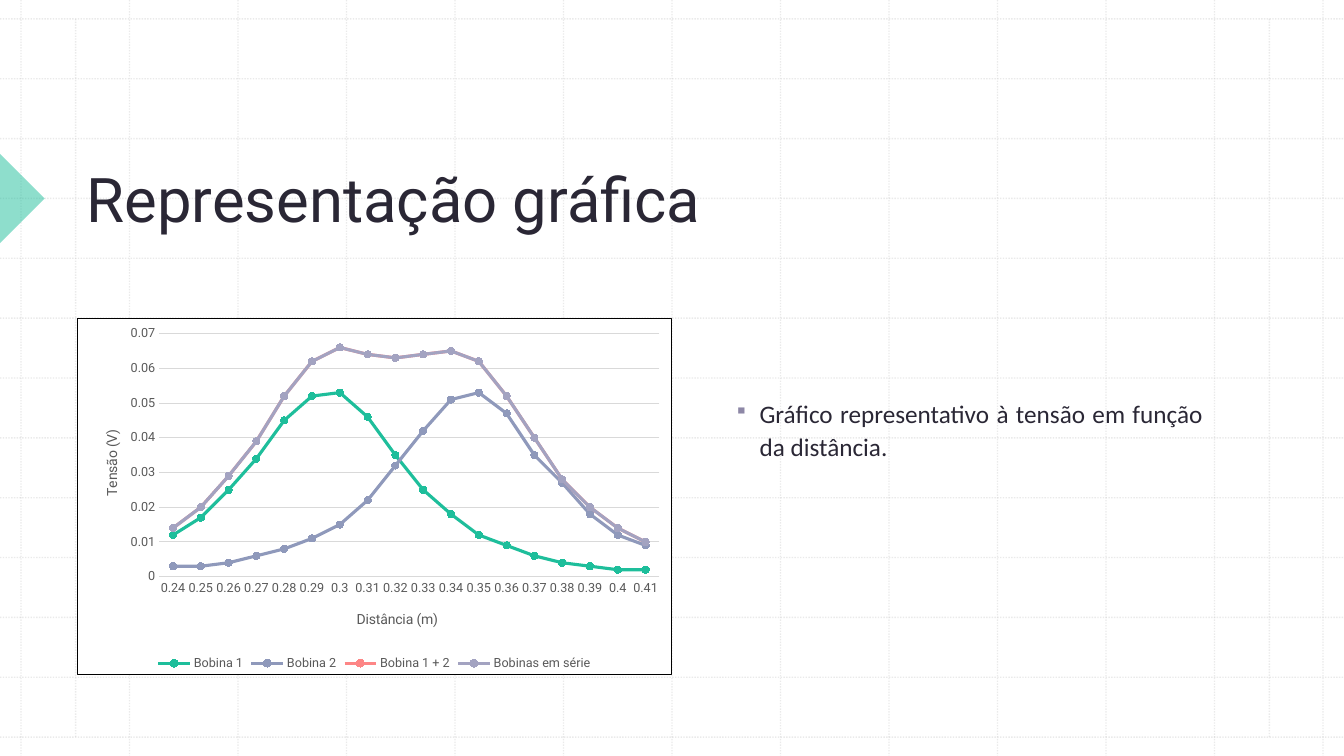
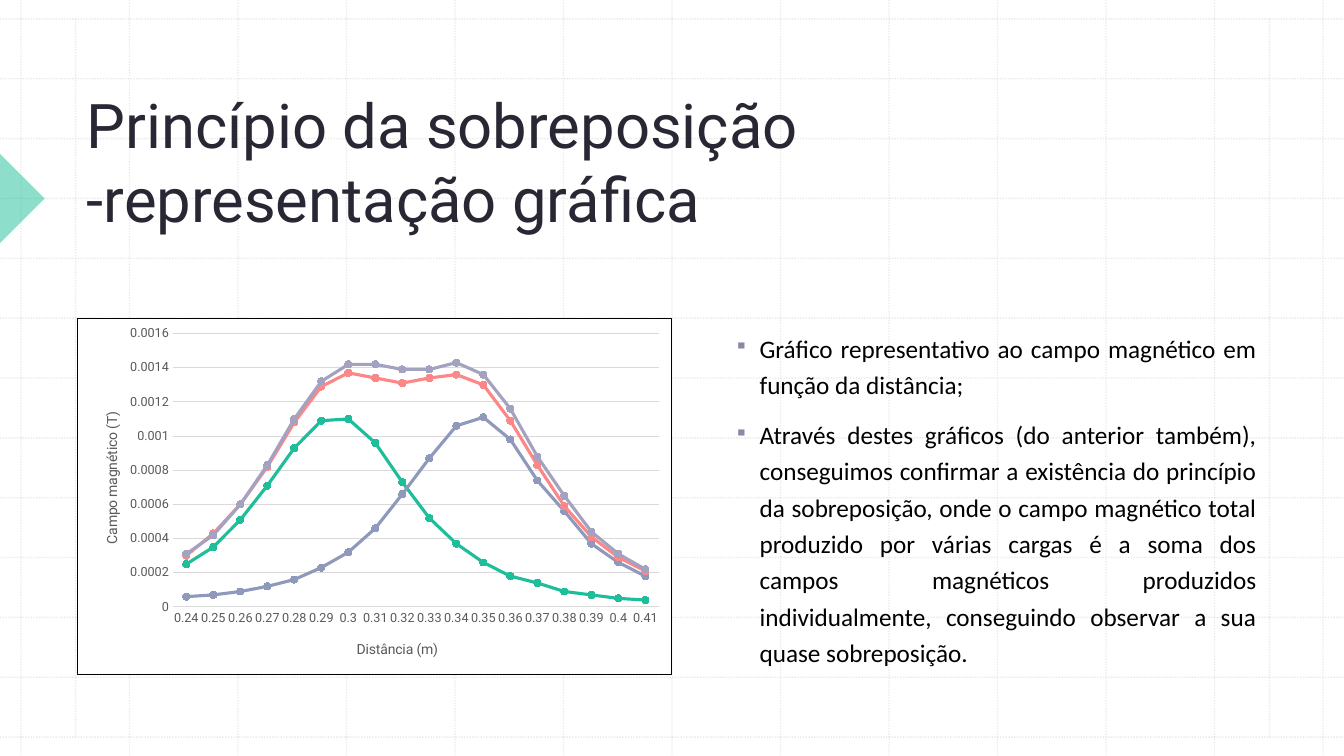
from lxml import etree
from pptx import Presentation
from pptx.chart.data import CategoryChartData
from pptx.dml.color import RGBColor
from pptx.enum.chart import XL_CHART_TYPE, XL_LEGEND_POSITION, XL_MARKER_STYLE, XL_TICK_MARK
from pptx.enum.dml import MSO_LINE
from pptx.enum.shapes import MSO_CONNECTOR, MSO_SHAPE
from pptx.enum.text import MSO_ANCHOR, MSO_AUTO_SIZE, PP_ALIGN
from pptx.oxml import parse_xml
from pptx.oxml.ns import nsdecls, qn
from pptx.util import Pt

PX = 9525
W, H = 1280, 720
COLORS = {"ink": "2A2735", "black": "000000", "white": "FFFFFF", "grid": "BCBCBC",
          "accent": "1EBE9B", "bullet": "8D87A6", "label": "595959", "rule": "D9D9D9"}
TITLE_BOX = (73, 76, 1084, 152)
CHART_BOX = (73, 303, 567, 340)
SERIES = {"Bobina 1": "1EBE9B", "Bobina 2": "8F99BB",
          "Bobina 1 + 2": "FD8686", "Bobinas em série": "A3A3C1"}
DISTANCES = [f"{cm / 100:g}" for cm in range(24, 42)]
VOLTAGE_SUM = [0.014, 0.02, 0.029, 0.039, 0.052, 0.062, 0.066, 0.064, 0.063,
               0.064, 0.065, 0.062, 0.052, 0.04, 0.028, 0.02, 0.014, 0.01]
VOLTAGE = [
    [0.012, 0.017, 0.025, 0.034, 0.045, 0.052, 0.053, 0.046, 0.035,
     0.025, 0.018, 0.012, 0.009, 0.006, 0.004, 0.003, 0.002, 0.002],
    [0.003, 0.003, 0.004, 0.006, 0.008, 0.011, 0.015, 0.022, 0.032,
     0.042, 0.051, 0.053, 0.047, 0.035, 0.027, 0.018, 0.012, 0.009],
    VOLTAGE_SUM, VOLTAGE_SUM]
FIELD = [
    [0.00025, 0.00035, 0.00051, 0.00071, 0.00093, 0.00109, 0.0011, 0.00096, 0.00073,
     0.00052, 0.00037, 0.00026, 0.00018, 0.00014, 0.00009, 0.00007, 0.00005, 0.00004],
    [0.00006, 0.00007, 0.00009, 0.00012, 0.00016, 0.00023, 0.00032, 0.00046, 0.00066,
     0.00087, 0.00106, 0.00111, 0.00098, 0.00074, 0.00056, 0.00037, 0.00026, 0.00018],
    [0.0003, 0.00043, 0.0006, 0.00082, 0.00108, 0.00129, 0.00137, 0.00134, 0.00131,
     0.00134, 0.00136, 0.0013, 0.00109, 0.00083, 0.00059, 0.00041, 0.00029, 0.00021],
    [0.00031, 0.00042, 0.0006, 0.00083, 0.0011, 0.00132, 0.00142, 0.00142, 0.00139,
     0.00139, 0.00143, 0.00136, 0.00116, 0.00088, 0.00065, 0.00044, 0.00031, 0.00022]]
SLIDES = [
    {"title": "Representação gráfica",
     "body": ["Gráfico representativo à tensão em função da distância."],
     "body_box": (690, 303, 465, 210), "color": "ink", "spacing": 1.1,
     "chart": {"values": VOLTAGE, "y_title": "Tensão (V)", "top": 0.07, "unit": 0.01,
               "legend": True, "plot": (82, 15, 501, 244),
               "x_pos": (277, 290), "y_pos": (23, 109)}},
    {"title": "Princípio da sobreposição -representação gráfica",
     "body": ["Gráfico representativo ao campo magnético em função da distância;",
              "Através destes gráficos (do anterior também), conseguimos confirmar a "
              "existência do princípio da sobreposição, onde o campo magnético total "
              "produzido por várias cargas é a soma dos campos magnéticos produzidos "
              "individualmente, conseguindo observar a sua quase sobreposição."],
     "body_box": (690, 303, 516, 341), "color": "black", "spacing": 1.2,
     "chart": {"values": FIELD, "y_title": "Campo magnético (T)", "top": 0.0016,
               "unit": 0.0002, "legend": False, "plot": (96, 15, 487, 274),
               "x_pos": (277, 320), "y_pos": (23, 91)}},
]
CHART_PX = (595, 357)


def rgb(name):
    """Return the colour for a palette name or a hex string."""
    return RGBColor.from_string(COLORS.get(name, name))


def emu(*px):
    """Convert px lengths to EMU."""
    return [round(v * PX) for v in px]


def set_font(font, size, name="Roboto", color="label"):
    """Format a font."""
    font.size, font.name, font.bold = Pt(size), name, False
    font.color.rgb = rgb(color)


def add_text(p, text, align=None, **fmt):
    """Add a formatted run to a paragraph."""
    p.alignment = align
    r = p.add_run()
    r.text = text
    set_font(r.font, **fmt)


def set_alpha(sp, percent):
    """Make the colours of a shape partly transparent."""
    for clr in sp.element.xpath("./p:spPr//a:srgbClr"):
        etree.SubElement(clr, qn("a:alpha")).set("val", str(percent * 1000))


def add_grid_line(shapes, *ends):
    """Draw one dotted line of the background grid."""
    cx = shapes.add_connector(MSO_CONNECTOR.STRAIGHT, *emu(*ends))
    cx.line.color.rgb = rgb("grid")
    cx.line.width = Pt(1)
    cx.line.dash_style = MSO_LINE.ROUND_DOT
    set_alpha(cx, 30)
    etree.SubElement(cx.element.spPr, qn("a:effectLst"))


def add_background(s):
    """Draw the grid and arrow and move them to the slide's layout."""
    grp = s.shapes.add_group_shape()
    for i in range(13):
        x, y = 20 + i * 310 / 3, 18 + i * 57
        add_grid_line(grp.shapes, x, 0, x, H)
        add_grid_line(grp.shapes, 0, y, W, y)
    for x in (72, 1209):
        add_grid_line(grp.shapes, x, 18, x, 702)
    sp = grp.shapes.add_shape(MSO_SHAPE.RIGHT_TRIANGLE, *emu(-30, 159, 60, 60))
    sp.rotation = 225
    sp.shadow.inherit = False
    sp.fill.solid()
    sp.fill.fore_color.rgb = rgb("accent")
    sp.line.fill.background()
    set_alpha(sp, 50)
    tree = s.slide_layout.shapes.element
    tree.insert(2, grp.element)
    for i, el in enumerate(tree.xpath(".//p:cNvPr"), 1):
        el.set("id", str(i))


def add_title(s, text, box):
    """Place and format the title placeholder."""
    sp = s.shapes.title
    sp.left, sp.top, sp.width, sp.height = emu(*box)
    tf = sp.text_frame
    tf.word_wrap, tf.auto_size = True, MSO_AUTO_SIZE.NONE
    tf.vertical_anchor = MSO_ANCHOR.BOTTOM
    add_text(tf.paragraphs[0], text, PP_ALIGN.LEFT, size=44, color="ink")


def add_bullet(p):
    """Give a paragraph a hanging square bullet."""
    pPr = p._p.get_or_add_pPr()
    pPr.set("marL", str(24 * PX))
    pPr.set("indent", str(-24 * PX))
    clr = etree.SubElement(pPr, qn("a:buClr"))
    etree.SubElement(clr, qn("a:srgbClr")).set("val", COLORS["bullet"])
    etree.SubElement(pPr, qn("a:buSzPct")).set("val", "75000")
    etree.SubElement(pPr, qn("a:buChar")).set("char", "▪")


def add_body(s, lines, box, color, spacing):
    """Add the justified bullet list."""
    tf = s.shapes.add_textbox(*emu(*box)).text_frame
    tf.word_wrap = True
    tf.vertical_anchor = MSO_ANCHOR.MIDDLE
    for i, line in enumerate(lines):
        p = tf.add_paragraph() if i else tf.paragraphs[0]
        p.line_spacing, p.space_before = spacing, Pt(10)
        add_bullet(p)
        add_text(p, line, PP_ALIGN.JUSTIFY, size=18, name="Calibri", color=color)


def set_layout(el, index, box, inner=False):
    """Fix the place of a chart part inside the chart."""
    for old in el.findall(qn("c:layout")):
        el.remove(old)
    layout = parse_xml(f"<c:layout {nsdecls('c')}><c:manualLayout/></c:layout>")
    values = [("layoutTarget", "inner")] if inner else []
    values += [("xMode", "edge"), ("yMode", "edge")]
    values += [(k, f"{v / CHART_PX[i % 2]:.3f}") for i, (k, v) in enumerate(zip("xywh", box))]
    for key, value in values:
        etree.SubElement(layout[0], qn(f"c:{key}")).set("val", value)
    el.insert(index, layout)


def format_axis(axis, title, pos, rotation):
    """Format an axis and place its title."""
    axis.major_tick_mark = axis.minor_tick_mark = XL_TICK_MARK.NONE
    set_font(axis.tick_labels.font, 9)
    axis_title = axis.axis_title
    add_text(axis_title.text_frame.paragraphs[0], title, size=10)
    axis_title.element.xpath(".//a:bodyPr")[0].set("rot", str(rotation))
    set_layout(axis_title.element, 1, pos)


def set_line(line, color, width):
    """Give a chart line its colour and width."""
    line.color.rgb = rgb(color)
    line.width = Pt(width)


def add_line_chart(s, box, values, y_title, top, unit, legend, plot, x_pos, y_pos):
    """Add the framed line chart of the coils."""
    data = CategoryChartData()
    data.categories = DISTANCES
    for name, vals in zip(SERIES, values):
        data.add_series(name, vals)
    chart = s.shapes.add_chart(XL_CHART_TYPE.LINE_MARKERS, *emu(*box), data).chart
    set_font(chart.font, 10, color="black")
    chart.has_title = False
    chart.has_legend = legend
    if legend:
        chart.legend.position = XL_LEGEND_POSITION.BOTTOM
        chart.legend.include_in_layout = False
        set_font(chart.legend.font, 9)
    chart.plots[0].vary_by_categories = False
    for ser, color in zip(chart.plots[0].series, SERIES.values()):
        ser.smooth = False
        set_line(ser.format.line, color, 2.25)
        ser.marker.style, ser.marker.size = XL_MARKER_STYLE.CIRCLE, 5
        ser.marker.format.fill.solid()
        ser.marker.format.fill.fore_color.rgb = rgb(color)
        set_line(ser.marker.format.line, color, 0.75)
    format_axis(chart.category_axis, "Distância (m)", x_pos, 0)
    set_line(chart.category_axis.format.line, "rule", 0.75)
    axis = chart.value_axis
    format_axis(axis, y_title, y_pos, -5400000)
    axis.minimum_scale, axis.maximum_scale, axis.major_unit = 0, top, unit
    axis.tick_labels.number_format = "General"
    axis.tick_labels.number_format_is_linked = False
    axis.format.line.fill.background()
    set_line(axis.major_gridlines.format.line, "rule", 0.75)
    set_layout(chart.element.xpath(".//c:plotArea")[0], 0, plot, inner=True)
    fill, border = [f'<a:solidFill><a:srgbClr val="{COLORS[c]}"/></a:solidFill>'
                    for c in ("white", "black")]
    chart.element.find(qn("c:chart")).addnext(parse_xml(
        f'<c:spPr {nsdecls("c", "a")}>{fill}<a:ln w="{PX}">{border}</a:ln></c:spPr>'))


def add_chart_slide(prs, title, body, body_box, color, spacing, chart):
    """Add a slide with a title, a chart and a bullet list."""
    s = prs.slides.add_slide(prs.slide_layouts[5])
    add_title(s, title, TITLE_BOX)
    add_body(s, body, body_box, color, spacing)
    add_line_chart(s, CHART_BOX, **chart)
    return s


def main():
    """Build and save the presentation."""
    prs = Presentation()
    prs.slide_width, prs.slide_height = emu(W, H)
    slides = [add_chart_slide(prs, **content) for content in SLIDES]
    add_background(slides[0])
    prs.save("out.pptx")


if __name__ == "__main__":
    main()
